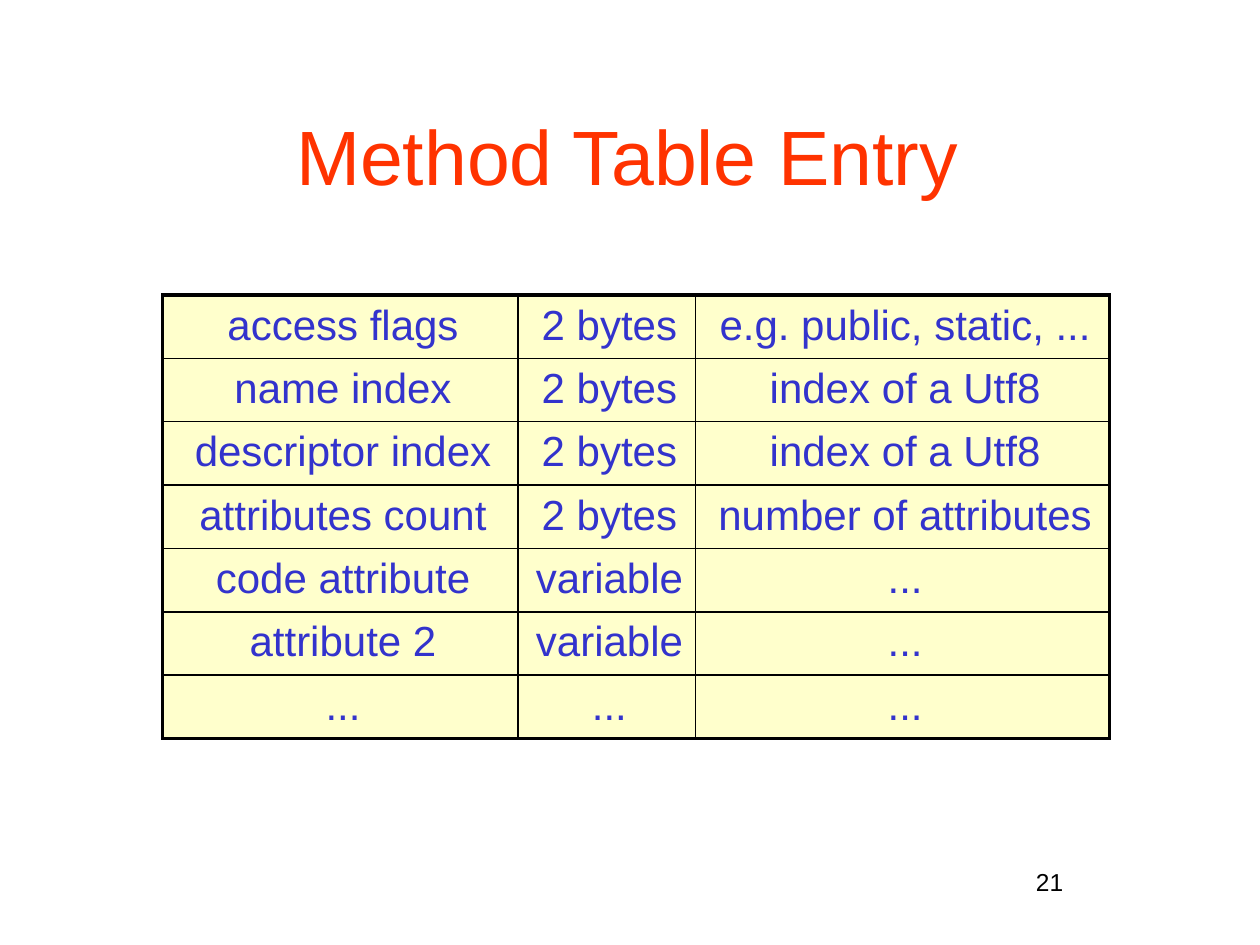
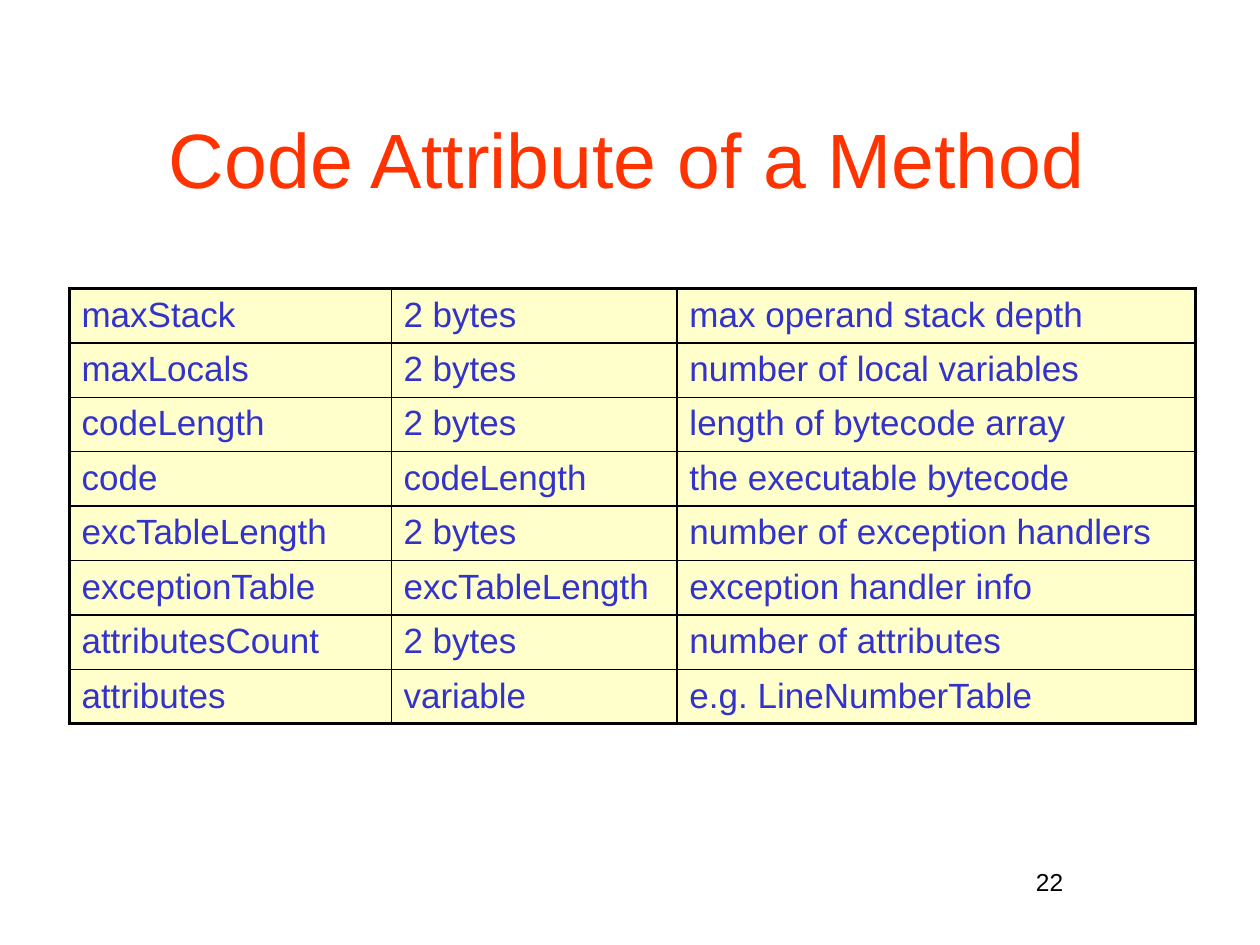
"""Builds two slides of class file tables."""
from lxml import etree
from pptx import Presentation
from pptx.dml.color import RGBColor
from pptx.enum.text import MSO_ANCHOR, PP_ALIGN
from pptx.oxml.ns import qn
from pptx.util import Pt

RED = RGBColor(0xFF, 0x33, 0x00)
BLUE = RGBColor(0x33, 0x33, 0xCC)
CREAM = RGBColor(0xFF, 0xFF, 0xCC)
BLACK = RGBColor(0, 0, 0)
FONT = "Arial"
LEFT, CENTER = PP_ALIGN.LEFT, PP_ALIGN.CENTER
MIDDLE = MSO_ANCHOR.MIDDLE
INSET = Pt(4)
TIGHT = Pt(2.5)
INDENT = Pt(3)
THICK, THIN = Pt(2.25), Pt(1)

METHOD = [
    ("access flags", "2 bytes", "e.g. public, static, ..."),
    ("name index", "2 bytes", "index of a Utf8"),
    ("descriptor index", "2 bytes", "index of a Utf8"),
    ("attributes count", "2 bytes", "number of attributes"),
    ("code attribute", "variable", "..."),
    ("attribute 2", "variable", "..."),
    ("...", "...", "..."),
]
CODE = [
    ("maxStack", "2 bytes", "max operand stack depth"),
    ("maxLocals", "2 bytes", "number of local variables"),
    ("codeLength", "2 bytes", "length of bytecode array"),
    ("code", "codeLength", "the executable bytecode"),
    ("excTableLength", "2 bytes", "number of exception handlers"),
    ("exceptionTable", "excTableLength", "exception handler info"),
    ("attributesCount", "2 bytes", "number of attributes"),
    ("attributes", "variable", "e.g. LineNumberTable"),
]


def write(frame, text, size, color, align, indent=0):
    """Put one styled paragraph into a text frame."""
    para = frame.paragraphs[0]
    para.text = text
    para.alignment = align
    para.font.name = FONT
    para.font.size = Pt(size)
    para.font.color.rgb = color
    if indent:
        para._p.get_or_add_pPr().set("marL", str(indent))


def add_title(slide, box, text):
    """Add the centred slide title in a box."""
    frame = slide.shapes.add_textbox(*map(Pt, box)).text_frame
    frame.word_wrap = True
    frame.vertical_anchor = MIDDLE
    frame.margin_left = frame.margin_top = frame.margin_bottom = INSET
    frame.margin_right = Pt(10)
    write(frame, text, 44, RED, CENTER, INDENT)


def add_number(slide, box, number):
    """Add the page number in a box."""
    frame = slide.shapes.add_textbox(*map(Pt, box)).text_frame
    frame.word_wrap = False
    frame.margin_left = frame.margin_right = TIGHT
    write(frame, str(number), 14, BLACK, CENTER)


def add_edge(cell, side, width):
    """Draw one black border of a cell."""
    props = cell._tc.get_or_add_tcPr()
    line = etree.SubElement(props, qn("a:ln" + side), w=str(width))
    fill = etree.SubElement(line, qn("a:solidFill"))
    etree.SubElement(fill, qn("a:srgbClr"), val=str(BLACK))


def add_grid(slide, box, rows, shares, size, align):
    """Add a framed table, its columns sharing the box width."""
    shape = slide.shapes.add_table(len(rows), len(shares), *map(Pt, box))
    table = shape.table
    table.first_row = table.horz_banding = False
    for col, share in zip(table.columns, shares):
        col.width = Pt(round(box[2] * share / sum(shares), 2))
    for row in table.rows:
        row.height = Pt(round(box[3] / len(rows), 2))
    for y, row in enumerate(rows):
        for x, text in enumerate(row):
            cell = table.cell(y, x)
            outer = {
                "L": x == 0,
                "R": x == len(row) - 1,
                "T": y == 0,
                "B": y == len(rows) - 1,
            }
            for side, edge in outer.items():
                add_edge(cell, side, THICK if edge else THIN)
            cell.fill.solid()
            cell.fill.fore_color.rgb = CREAM
            cell.margin_left = cell.margin_right = cell.margin_top = INSET
            cell.margin_bottom = TIGHT
            write(cell.text_frame, text, size, BLUE, align, INDENT)


def add_page(deck, number, title, head, grid):
    """Add a slide with number, title and table."""
    slide = deck.slides.add_slide(deck.slide_layouts[6])
    add_number(slide, (587.5, 491.8, 24.5, 24), number)
    add_title(slide, head, title)
    add_grid(slide, *grid)


def main():
    """Build and save the deck."""
    deck = Presentation()
    deck.slide_width, deck.slide_height = Pt(720), Pt(540)
    add_page(deck, 21, "Method Table Entry", (54, 21, 612, 135),
             ((93, 168.6, 541, 253.4), METHOD, (203, 101.5, 236.5), 24, CENTER))
    add_page(deck, 22, "Code Attribute of a Method", (54, 24, 612, 132),
             ((39.6, 164.8, 643.4, 248.8), CODE, (184, 163.4, 296), 20, LEFT))
    deck.save("out.pptx")


main()
